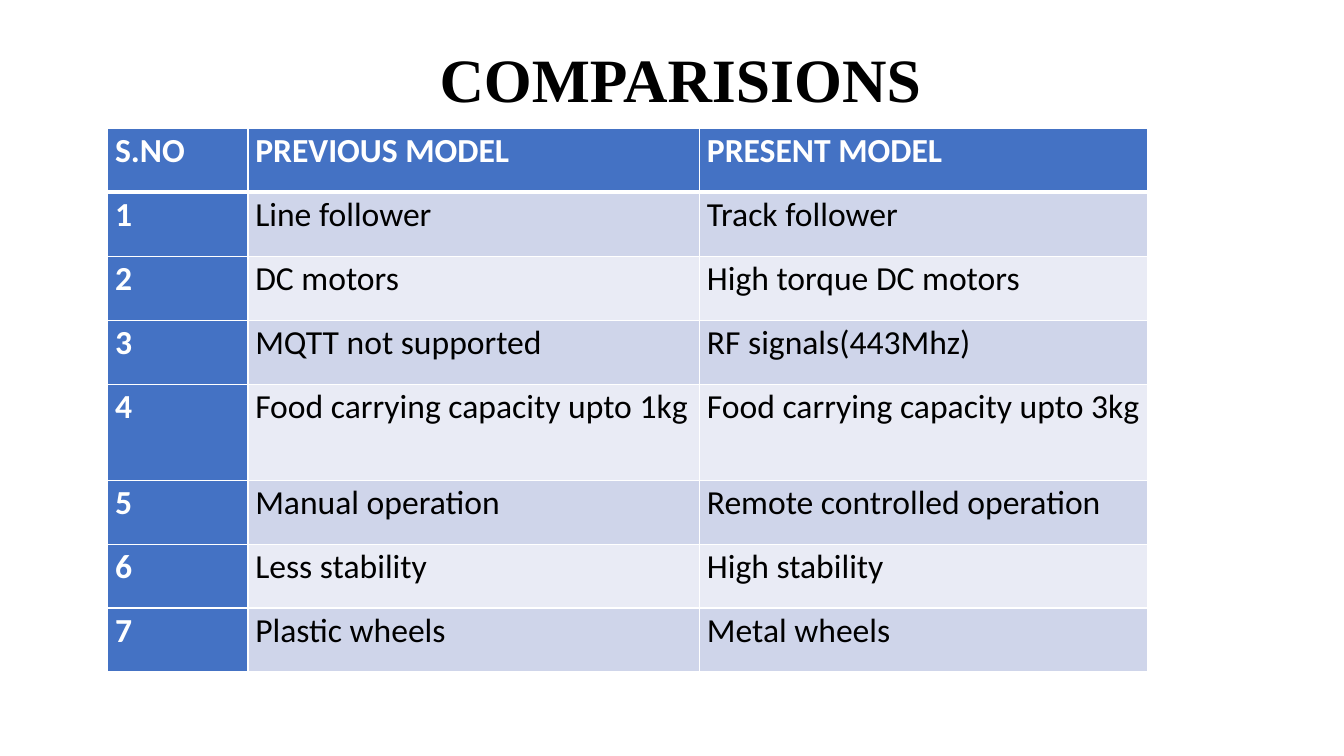
import dataclasses

import lxml.etree
import pptx
import pptx.dml.color
import pptx.enum.text
import pptx.oxml.ns
import pptx.util

Pt = pptx.util.Pt


@dataclasses.dataclass(frozen=True)
class Theme:
    accent: str = "4472C4"
    bands: tuple = ("CFD5EA", "E9EBF5")
    light: str = "FFFFFF"
    dark: str = "000000"
    title_font: str = "Times New Roman"
    body_font: str = "Calibri"
    title_size: int = 44
    body_size: int = 24


THEME = Theme()

HEADINGS = ("S.NO", "PREVIOUS MODEL", "PRESENT MODEL")
COMPARISONS = (
    ("Line follower", "Track follower"),
    ("DC motors", "High torque DC motors"),
    ("MQTT not supported", "RF signals(443Mhz)"),
    ("Food carrying capacity upto 1kg", "Food carrying capacity upto 3kg"),
    ("Manual operation", "Remote controlled operation"),
    ("Less stability", "High stability"),
    ("Plastic wheels", "Metal wheels"),
)
COLUMN_WIDTHS = (100.2, 322.6, 320.2)
ROW_HEIGHT = 45.72
TALL_ROW, TALL_HEIGHT = 4, 68.6


def add_span(para, text, font, size, color, bold):
    span = para.add_run()
    span.text = text
    span.font.name = font
    span.font.size = Pt(size)
    span.font.bold = bold
    span.font.color.rgb = pptx.dml.color.RGBColor.from_string(color)


def add_title(page, text):
    box = page.shapes.add_textbox(Pt(52.6), Pt(-7.9), Pt(866.9), Pt(40.3))
    frame = box.text_frame
    frame.word_wrap = True
    frame.margin_top = Pt(11)
    para = frame.paragraphs[0]
    para.alignment = pptx.enum.text.PP_ALIGN.CENTER
    para.line_spacing = 1.5
    add_span(para, text, THEME.title_font, THEME.title_size, THEME.dark, True)


def add_border(cell, side, width):
    qn = pptx.oxml.ns.qn
    properties = cell._tc.get_or_add_tcPr()
    line = lxml.etree.SubElement(properties, qn(f"a:ln{side}"), w=str(Pt(width)))
    fill = lxml.etree.SubElement(line, qn("a:solidFill"))
    lxml.etree.SubElement(fill, qn("a:srgbClr"), val=THEME.light)


def fill_cell(cell, text, row, column):
    strong = row == 0 or column == 0
    cell.margin_left = cell.margin_right = Pt(5.2)
    cell.margin_top = cell.margin_bottom = 0

    # Thick rule between the heading and the first row
    widths = {"L": 1, "R": 1, "T": 3 if row == 1 else 1, "B": 3 if row == 0 else 1}
    for side, width in widths.items():
        add_border(cell, side, width)

    color = THEME.accent if strong else THEME.bands[(row - 1) % 2]
    cell.fill.solid()
    cell.fill.fore_color.rgb = pptx.dml.color.RGBColor.from_string(color)

    para = cell.text_frame.paragraphs[0]
    para.line_spacing = 1.07
    para.space_after = Pt(8)
    add_span(para, text, THEME.body_font, THEME.body_size,
             THEME.light if strong else THEME.dark, strong)


def add_comparison_table(page):
    rows = [HEADINGS] + [(str(number), *pair)
                         for number, pair in enumerate(COMPARISONS, 1)]
    heights = [TALL_HEIGHT if row == TALL_ROW else ROW_HEIGHT
               for row in range(len(rows))]
    table = page.shapes.add_table(
        len(rows), len(HEADINGS), Pt(77), Pt(91.6),
        Pt(sum(COLUMN_WIDTHS)), Pt(sum(heights))).table
    for column, width in zip(table.columns, COLUMN_WIDTHS):
        column.width = Pt(width)
    for row, texts in enumerate(rows):
        table.rows[row].height = Pt(heights[row])
        for column, text in enumerate(texts):
            fill_cell(table.cell(row, column), text, row, column)


def main():
    deck = pptx.Presentation()
    deck.slide_width, deck.slide_height = Pt(960), Pt(540)
    page = deck.slides.add_slide(deck.slide_layouts[6])
    add_comparison_table(page)
    add_title(page, "COMPARISIONS")
    deck.save("out.pptx")


if __name__ == "__main__":
    main()
